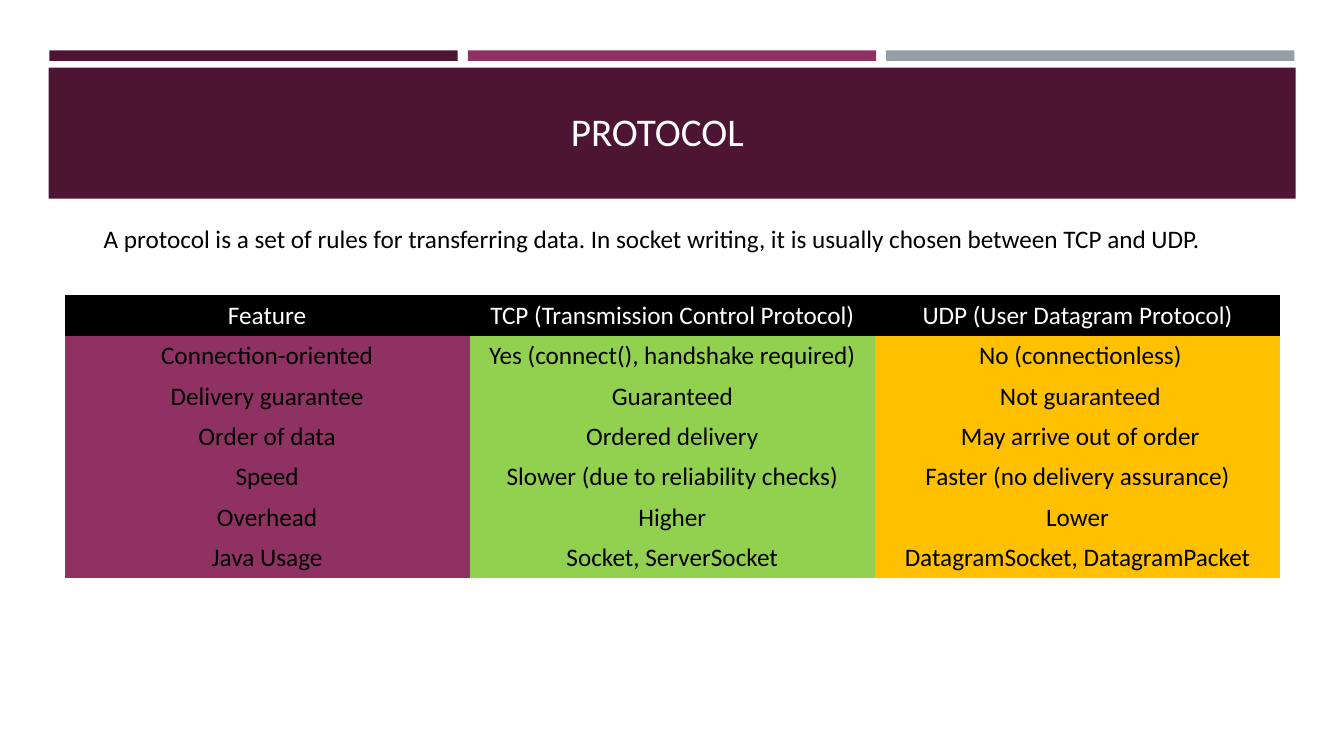
from dataclasses import dataclass

from pptx import Presentation
from pptx.dml.color import RGBColor
from pptx.enum.shapes import MSO_SHAPE
from pptx.enum.text import MSO_ANCHOR, PP_ALIGN
from pptx.oxml.ns import qn
from pptx.util import Emu, Inches, Pt

RECTANGLE = MSO_SHAPE.RECTANGLE
CENTER, LEFT = PP_ALIGN.CENTER, PP_ALIGN.LEFT
MIDDLE, BOTTOM = MSO_ANCHOR.MIDDLE, MSO_ANCHOR.BOTTOM

PLUM = RGBColor(0x4D, 0x14, 0x34)
MAGENTA = RGBColor(0x90, 0x31, 0x63)
GRAY = RGBColor(0x96, 0x9F, 0xA7)
GREEN = RGBColor(0x92, 0xD0, 0x50)
AMBER = RGBColor(0xFF, 0xC0, 0x00)
BLACK = RGBColor(0x00, 0x00, 0x00)
WHITE = RGBColor(0xFF, 0xFF, 0xFF)

FONT = "Calibri"
BODY_SIZE, TITLE_SIZE = 18, 28
SLIDE_WIDTH, SLIDE_HEIGHT = Inches(13.33), Inches(7.5)
PLAIN_TABLE_STYLE = "{2D5ABB26-0587-4C30-8999-92F81FD0307C}"

BAR_LEFT, BAR_WIDTH, BAR_STEP = 3.68, 30.38, 31.13
ROW_HEIGHT = 5.35
COLUMN_FILLS = (MAGENTA, GREEN, AMBER)
COMPARISON = (
    ("Feature", "TCP (Transmission Control Protocol)", "UDP (User Datagram Protocol)"),
    ("Connection-oriented", "Yes (connect(), handshake required)", " No (connectionless)"),
    ("Delivery guarantee", "Guaranteed", " Not guaranteed"),
    ("Order of data", "Ordered delivery", " May arrive out of order"),
    ("Speed", "Slower (due to reliability checks)", "Faster (no delivery assurance)"),
    ("Overhead", "Higher", "Lower"),
    ("Java Usage", "Socket, ServerSocket", "DatagramSocket, DatagramPacket"),
)


@dataclass(frozen=True)
class Area:
    """A rectangle in percent of the slide's width and height."""
    left: float
    top: float
    width: float
    height: float

    def box(self) -> tuple[Emu, Emu, Emu, Emu]:
        return (Emu(int(SLIDE_WIDTH * self.left / 100)),
                Emu(int(SLIDE_HEIGHT * self.top / 100)),
                Emu(int(SLIDE_WIDTH * self.width / 100)),
                Emu(int(SLIDE_HEIGHT * self.height / 100)))


@dataclass(frozen=True)
class Block:
    area: Area
    fill: RGBColor


BLOCKS = [Block(Area(BAR_LEFT + i * BAR_STEP, 6.67, BAR_WIDTH, 1.4), fill)
          for i, fill in enumerate((PLUM, MAGENTA, GRAY))]
BLOCKS.append(Block(Area(3.62, 8.96, 92.78, 17.33), PLUM))
TITLE_AREA = Area(3.68, 8.13, 90.45, 12.93)
DEFINITION_AREA = Area(6.98, 28.93, 89.78, 5.33)
TABLE_AREA = Area(4.8, 39.07, 90.45, ROW_HEIGHT * len(COMPARISON))


def write(frame, text: str, color: RGBColor, size: int = BODY_SIZE,
          align: PP_ALIGN = CENTER) -> None:
    frame.text = text
    paragraph = frame.paragraphs[0]
    paragraph.alignment = align
    paragraph.font.name = FONT
    paragraph.font.size = Pt(size)
    paragraph.font.color.rgb = color


def add_block(slide, block: Block) -> None:
    shape = slide.shapes.add_shape(RECTANGLE, *block.area.box())
    shape.shadow.inherit = False
    shape.fill.solid()
    shape.fill.fore_color.rgb = block.fill
    shape.line.fill.background()
    # Keep the title in front of the band
    slide.shapes.title.element.addprevious(shape.element)


def set_title(slide, text: str) -> None:
    title = slide.shapes.title
    title.left, title.top, title.width, title.height = TITLE_AREA.box()
    write(title.text_frame, text, WHITE, TITLE_SIZE)
    title.text_frame.vertical_anchor = BOTTOM


def add_definition(slide, text: str) -> None:
    definition = slide.shapes.add_textbox(*DEFINITION_AREA.box())
    definition.text_frame.word_wrap = True
    write(definition.text_frame, text, BLACK, align=LEFT)


def add_comparison(slide) -> None:
    table = slide.shapes.add_table(len(COMPARISON), len(COLUMN_FILLS),
                                   *TABLE_AREA.box()).table
    table.first_row = table.horz_banding = False
    table._tbl.tblPr.find(qn("a:tableStyleId")).text = PLAIN_TABLE_STYLE
    for row, texts in enumerate(COMPARISON):
        for column, text in enumerate(texts):
            is_header = row == 0
            cell = table.cell(row, column)
            cell.fill.solid()
            cell.fill.fore_color.rgb = BLACK if is_header else COLUMN_FILLS[column]
            cell.vertical_anchor = MIDDLE
            cell.margin_top = cell.margin_bottom = Inches(0.04)
            write(cell.text_frame, text, WHITE if is_header else BLACK)


def main() -> None:
    presentation = Presentation()
    presentation.slide_width, presentation.slide_height = SLIDE_WIDTH, SLIDE_HEIGHT
    slide = presentation.slides.add_slide(presentation.slide_layouts.get_by_name("Title Only"))

    # Accent bars and title band
    for block in BLOCKS:
        add_block(slide, block)
    set_title(slide, "PROTOCOL")

    # Definition and comparison of the two protocols
    add_definition(slide, "A protocol is a set of rules for transferring data. "
                          "In socket writing, it is usually chosen between TCP and UDP.")
    add_comparison(slide)

    presentation.save("out.pptx")


if __name__ == "__main__":
    main()
